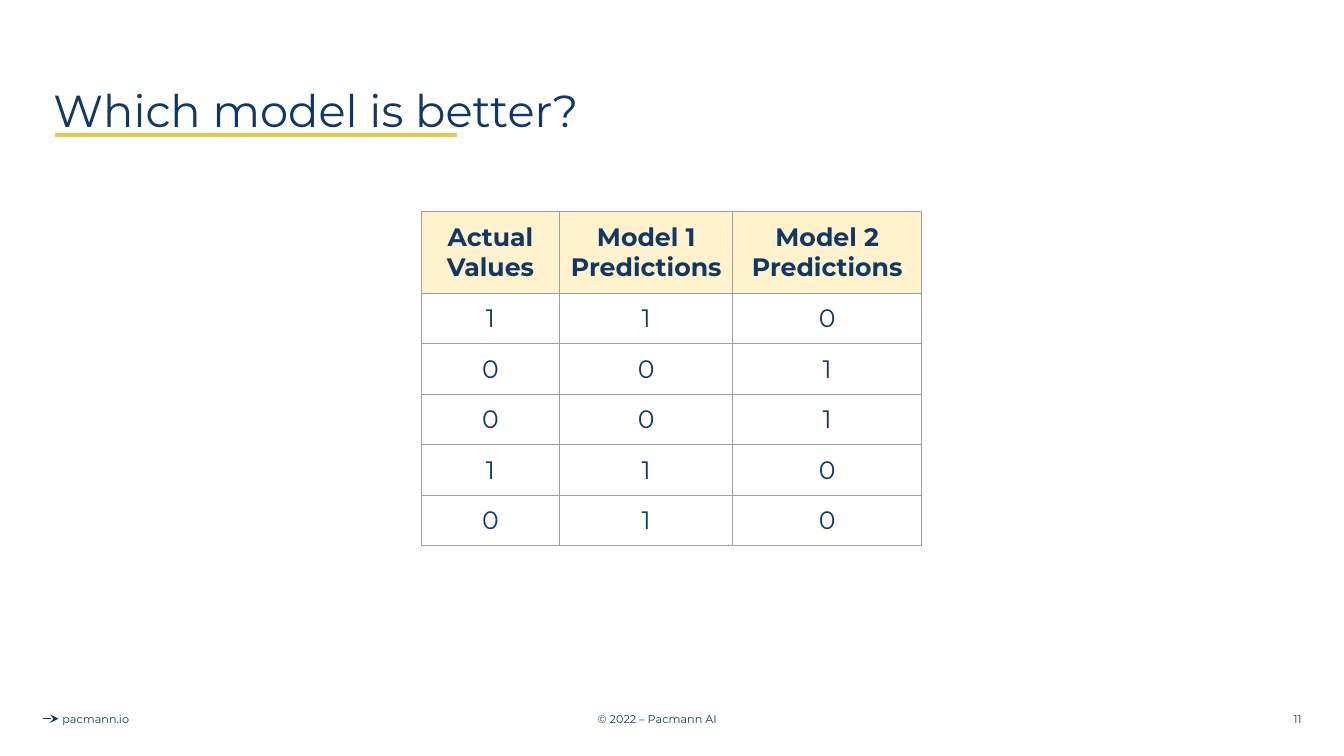
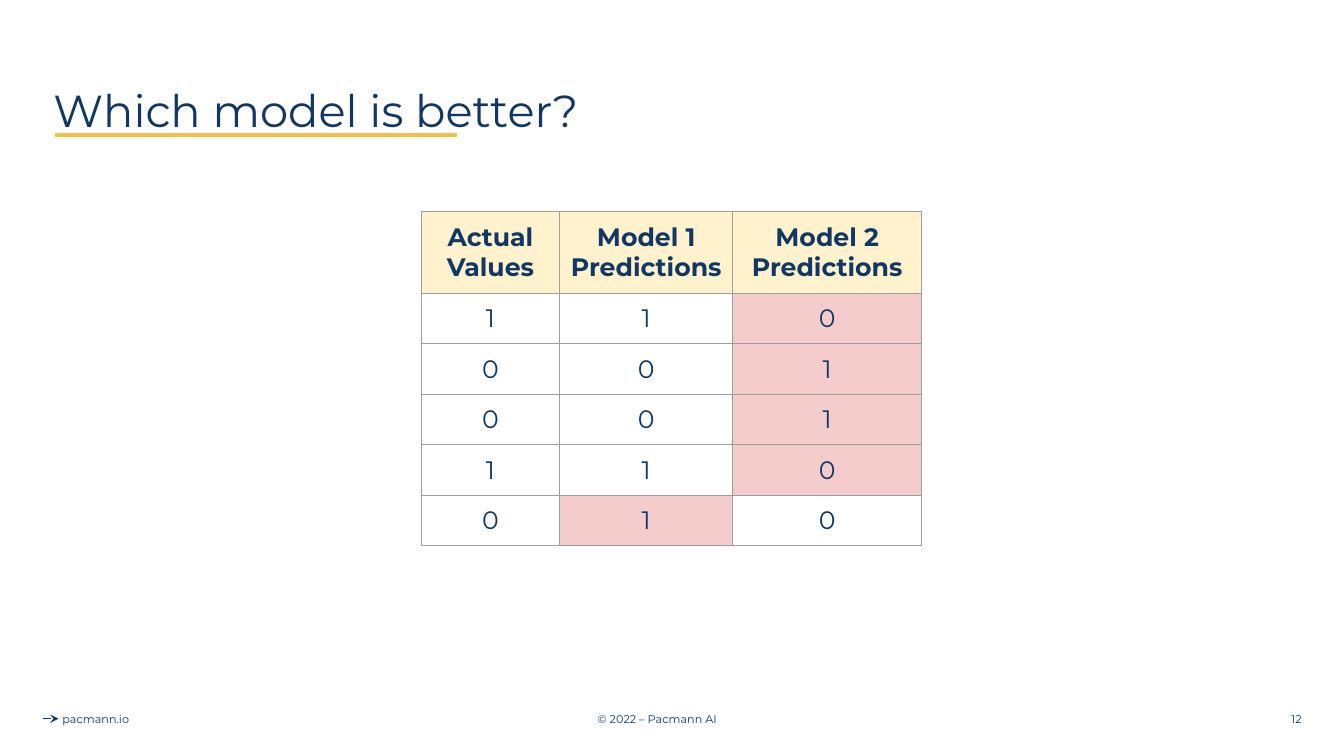
"""Build two slides comparing the predictions of two models with the actual values."""
from lxml import etree
from pptx import Presentation
from pptx.dml.color import RGBColor
from pptx.enum.shapes import MSO_CONNECTOR
from pptx.enum.text import MSO_ANCHOR, PP_ALIGN
from pptx.oxml import parse_xml
from pptx.oxml.ns import nsdecls, qn
from pptx.util import Inches, Pt

STRAIGHT = MSO_CONNECTOR.STRAIGHT
MIDDLE = MSO_ANCHOR.MIDDLE
LEFT, CENTER, RIGHT = PP_ALIGN.LEFT, PP_ALIGN.CENTER, PP_ALIGN.RIGHT

COLORS = {
    "title": "113865",
    "footer": "103864",
    "accent": "F3C145",
    "header": "FFF2CC",
    "wrong": "F4CCCC",
    "border": "9E9E9E",
}
FONT = "Montserrat"
TITLE = "Which model is better?"
HEADINGS = ["Actual Values", "Model 1 Predictions", "Model 2 Predictions"]
OUTCOMES = [(1, 1, 0), (0, 0, 1), (0, 0, 1), (1, 1, 0), (0, 1, 0)]
COLUMN_WIDTHS = [1.37, 1.72, 1.87]
ROW_HEIGHTS = [0.81] + [0.5] * len(OUTCOMES)
CELL_MARGINS = ["margin_left", "margin_top", "margin_right", "margin_bottom"]
BORDER_SIDES = ["lnL", "lnR", "lnT", "lnB"]
RULES = [
    (0.43, 0.58, 7.13, "footer", 0.75, True),
    (0.55, 4.53, 1.34, "accent", 2.25, False),
]


def write(frame, text, size, color, align, bold=False):
    paragraph = frame.paragraphs[0]
    paragraph.text = text
    paragraph.alignment = align
    style = {"name": FONT, "size": Pt(size), "bold": bold}
    for attribute, value in style.items():
        setattr(paragraph.font, attribute, value)
    paragraph.font.color.rgb = RGBColor.from_string(COLORS[color])


prs = Presentation()
prs.slide_width = Inches(13.33)
prs.slide_height = Inches(7.5)
title_only = prs.slide_layouts[5]

for number, show_errors in [(11, False), (12, True)]:
    slide = prs.slides.add_slide(title_only)

    title = slide.shapes.title
    title.left, title.top = Inches(0.43), Inches(0.4)
    title.width, title.height = Inches(12.59), Inches(1.45)
    title.text_frame.vertical_anchor = MIDDLE
    write(title.text_frame, TITLE, 32, "title", LEFT)
    title.text_frame.paragraphs[0].line_spacing = 0.9

    for start, end, y, color, width, has_arrow in RULES:
        rule = slide.shapes.add_connector(
            STRAIGHT, Inches(start), Inches(y), Inches(end), Inches(y)
        )
        rule.line.color.rgb = RGBColor.from_string(COLORS[color])
        rule.line.width = Pt(width)
        if has_arrow:
            etree.SubElement(rule.line._get_or_add_ln(), qn("a:tailEnd"), type="stealth")
        etree.SubElement(rule._element.spPr, qn("a:effectLst"))

    footers = [
        (0.43, 1.04, "pacmann.io", CENTER),
        (4.27, 4.5, "© 2022 – Pacmann AI", CENTER),
        (10.01, 3, str(number), RIGHT),
    ]
    for left, width, text, align in footers:
        footer = slide.shapes.add_textbox(
            Inches(left), Inches(6.93), Inches(width), Inches(0.4)
        )
        footer.text_frame.word_wrap = True
        footer.text_frame.vertical_anchor = MIDDLE
        write(footer.text_frame, text, 8, "footer", align)

    rows = [HEADINGS] + OUTCOMES
    predictions = slide.shapes.add_table(
        len(rows), len(HEADINGS), Inches(4.18), Inches(2.1),
        Inches(sum(COLUMN_WIDTHS)), Inches(sum(ROW_HEIGHTS)),
    ).table
    predictions.horz_banding = False
    for column, width in zip(predictions.columns, COLUMN_WIDTHS):
        column.width = Inches(width)
    for row, height in zip(predictions.rows, ROW_HEIGHTS):
        row.height = Inches(height)

    for r, values in enumerate(rows):
        for c, value in enumerate(values):
            cell = predictions.cell(r, c)
            is_heading = r == 0
            for margin in CELL_MARGINS:
                setattr(cell, margin, Inches(0.1))
            write(cell.text_frame, str(value), 18, "title", CENTER, is_heading)
            properties = cell._tc.get_or_add_tcPr()
            for side in BORDER_SIDES:
                properties.append(parse_xml(
                    f'<a:{side} {nsdecls("a")} w="{Pt(0.75)}"><a:solidFill>'
                    f'<a:srgbClr val="{COLORS["border"]}"/></a:solidFill></a:{side}>'
                ))
            is_wrong = show_errors and not is_heading and value != values[0]
            if is_heading or is_wrong:
                cell.fill.solid()
                fill = COLORS["header" if is_heading else "wrong"]
                cell.fill.fore_color.rgb = RGBColor.from_string(fill)
            else:
                cell.fill.background()

prs.save("out.pptx")
